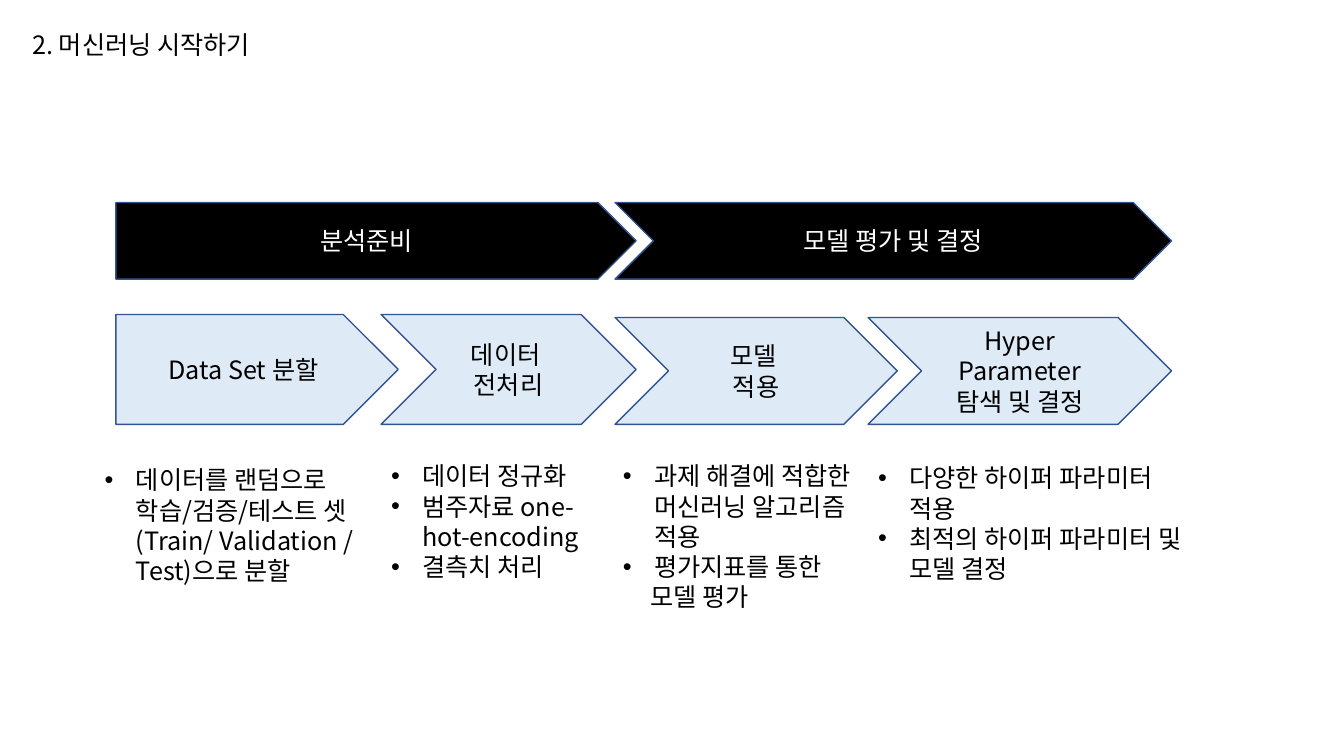
from pptx import Presentation
from pptx.dml.color import RGBColor
from pptx.enum.shapes import MSO_SHAPE
from pptx.enum.text import MSO_ANCHOR, MSO_AUTO_SIZE, PP_ALIGN
from pptx.oxml.ns import qn
from pptx.util import Inches, Pt
from lxml.etree import SubElement

FONT = "Noto Sans CJK KR"
COLORS = {"black": "000000", "white": "FFFFFF", "pale": "DEEBF7", "edge": "325491"}
TITLE = "2. 머신러닝 시작하기"
PENTA, CHEV = MSO_SHAPE.PENTAGON, MSO_SHAPE.CHEVRON

# shape, left, top, width, height, lines
PHASES = [
    (PENTA, 1.15, 2.01, 5.16, 0.76, ["분석준비"]),
    (CHEV, 6.1, 2.01, 5.52, 0.76, ["모델 평가 및 결정"]),
]
STEPS = [
    (PENTA, 1.15, 3.12, 2.8, 1.09, ["Data Set 분할"]),
    (CHEV, 3.78, 3.12, 2.53, 1.09, ["데이터 ", "전처리"]),
    (CHEV, 6.1, 3.15, 2.8, 1.06, ["모델 ", "적용"]),
    (CHEV, 8.61, 3.15, 3.01, 1.06, ["Hyper Parameter", "탐색 및 결정"]),
]
# left, top, width, height, (bulleted, text) lines
NOTES = [
    (0.94, 4.56, 2.81, 1.31, [
        (True, "데이터를 랜덤으로 학습/검증/테스트 셋(Train/ Validation / Test)으로 분할")]),
    (3.78, 4.52, 2.15, 1.31, [
        (True, "데이터 정규화"),
        (True, "범주자료 one- hot-encoding"),
        (True, "결측치 처리")]),
    (6.08, 4.52, 2.53, 1.62, [
        (True, "과제 해결에 적합한 머신러닝 알고리즘 적용"),
        (True, "평가지표를 통한"),
        (False, "모델 평가")]),
    (8.61, 4.54, 3.28, 1.31, [
        (True, "다양한 하이퍼 파라미터 적용"),
        (True, "최적의 하이퍼 파라미터 및 모델 결정")]),
]
BULLET, PLAIN = (0.31, -0.31), (0.27, 0)


def rgb(name):
    return RGBColor.from_string(COLORS[name])


def write(frame, lines, color, align, anchor):
    """Fill a text frame, one paragraph a line, and return the paragraphs."""
    form = {"word_wrap": True, "auto_size": MSO_AUTO_SIZE.NONE,
            "vertical_anchor": anchor}
    for key, value in form.items():
        setattr(frame, key, value)
    frame.text = "\n".join(lines)
    for par in frame.paragraphs:
        par.alignment = align
        run = par.runs[0]
        for key, value in {"name": FONT, "size": Pt(18), "bold": False}.items():
            setattr(run.font, key, value)
        run.font.color.rgb = rgb(color)
        SubElement(run.font._element, qn("a:ea"), typeface=FONT)
    return frame.paragraphs


def add_arrow(slide, kind, *rest, fill, color):
    *box, lines = rest
    arrow = slide.shapes.add_shape(kind, *map(Inches, box))
    arrow.shadow.inherit = False
    arrow.fill.solid()
    arrow.fill.fore_color.rgb = rgb(fill)
    arrow.line.color.rgb = rgb("edge")
    arrow.line.width = Pt(1)
    write(arrow.text_frame, lines, color, PP_ALIGN.CENTER, MSO_ANCHOR.MIDDLE)


def add_note(slide, *rest):
    *box, lines = rest
    note = slide.shapes.add_textbox(*map(Inches, box))
    pars = write(note.text_frame, [text for _, text in lines], "black",
                 PP_ALIGN.LEFT, MSO_ANCHOR.TOP)
    for par, (dotted, _) in zip(pars, lines):
        props = par._p.get_or_add_pPr()
        left, indent = BULLET if dotted else PLAIN
        props.set("marL", str(Inches(left)))
        props.set("indent", str(Inches(indent)))
        if dotted:
            SubElement(props, qn("a:buFont"), typeface="Arial")
            SubElement(props, qn("a:buChar"), char="•")


def main():
    deck = Presentation()
    deck.slide_width, deck.slide_height = Inches(13.33), Inches(7.5)
    slide = deck.slides.add_slide(deck.slide_layouts[5])
    title = slide.shapes.title
    place = {"left": 0.22, "top": 0.24, "width": 3.04, "height": 0.4}
    for key, value in place.items():
        setattr(title, key, Inches(value))
    write(title.text_frame, [TITLE], "black", PP_ALIGN.LEFT, MSO_ANCHOR.TOP)
    for phase in PHASES:
        add_arrow(slide, *phase, fill="black", color="white")
    for step in STEPS:
        add_arrow(slide, *step, fill="pale", color="black")
    for note in NOTES:
        add_note(slide, *note)
    deck.save("out.pptx")


if __name__ == "__main__":
    main()
